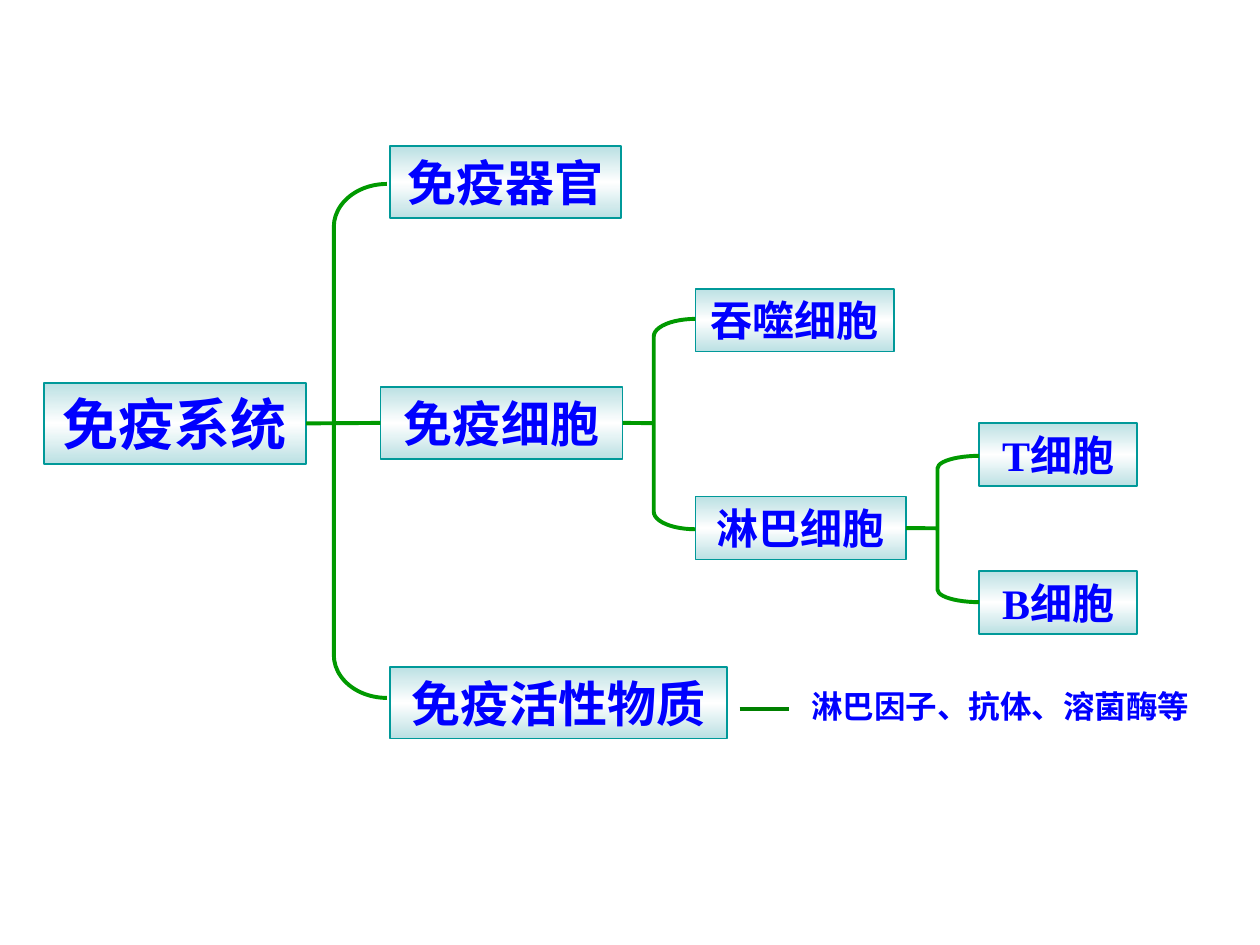
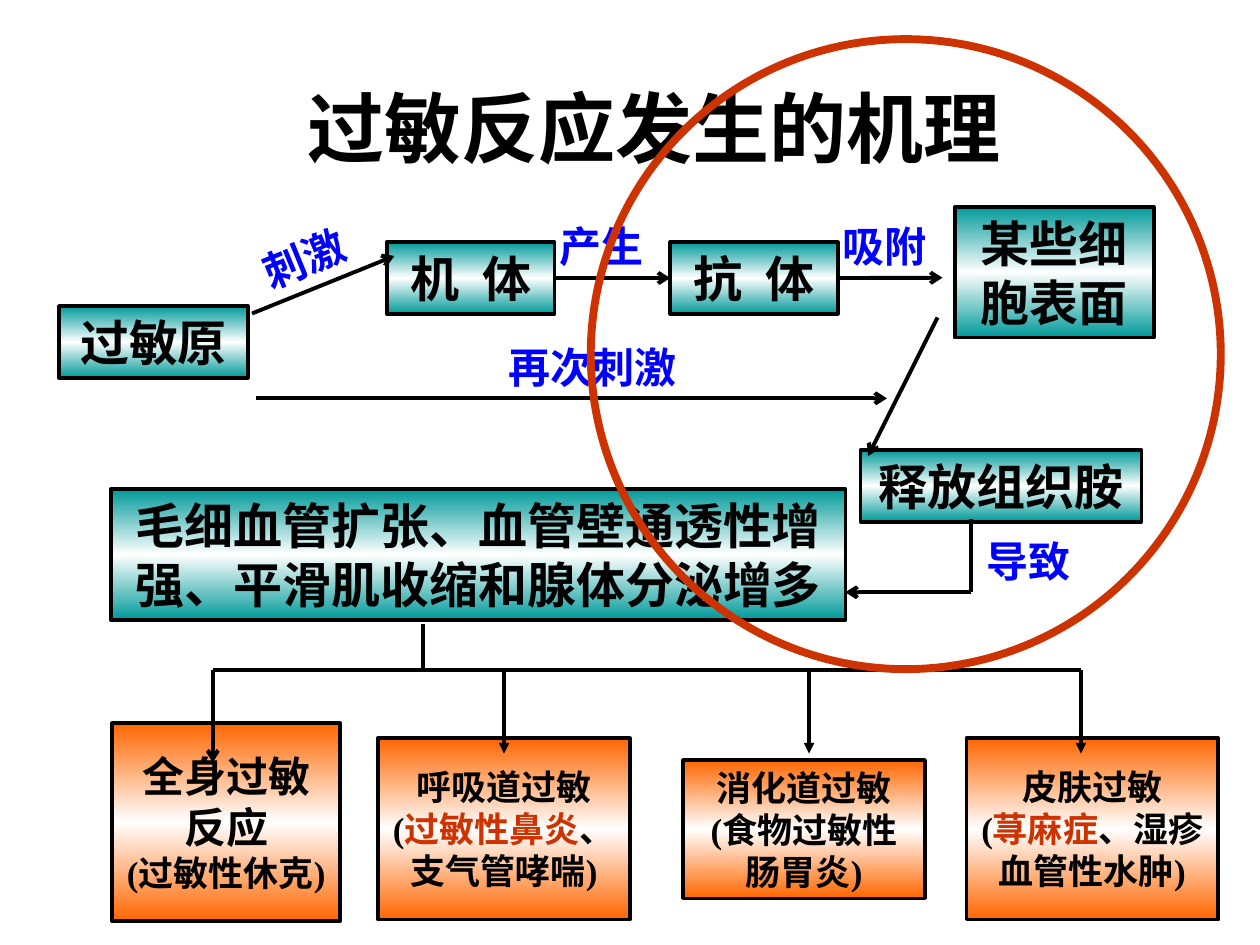
"""Two slides: the immune system tree and the mechanism of allergic reactions."""
from copy import deepcopy
from dataclasses import dataclass

from lxml import etree
from pptx import Presentation
from pptx.dml.color import RGBColor
from pptx.enum.shapes import MSO_CONNECTOR, MSO_SHAPE
from pptx.enum.text import MSO_ANCHOR, PP_ALIGN
from pptx.oxml.ns import qn
from pptx.util import Cm, Pt

STRAIGHT = MSO_CONNECTOR.STRAIGHT
RECTANGLE, OVAL, BRACKET = MSO_SHAPE.RECTANGLE, MSO_SHAPE.OVAL, MSO_SHAPE.LEFT_BRACKET
LEFT, CENTER = PP_ALIGN.LEFT, PP_ALIGN.CENTER
MIDDLE, TOP = MSO_ANCHOR.MIDDLE, MSO_ANCHOR.TOP
LEFT_SIDE, RIGHT_SIDE = 1, 3

SERIF, SANS, CHINESE = "Times New Roman", "Arial", "Noto Sans CJK SC"
BLACK, WHITE, BLUE, RED = "000000", "FFFFFF", "0000FF", "CC3300"
TEAL, PALE_TEAL, ORANGE = "009999", "BBE0E3", "FF6600"
GREEN, DARK_GREEN = "009900", "008000"
HEIGHT_BY_SIZE = {32: 1.63, 28: 1.45, 24: 1.27}
WIDE_SPACE = "700"


@dataclass
class Box:
    """A rectangle in centimetres."""

    left: float
    top: float
    width: float
    height: float

    def inner(self, left, top, width, height):
        """Return a box placed relative to this one."""
        return Box(self.left + left, self.top + top, width, height)

    def point(self, x, y):
        """Return a point placed relative to this box."""
        return self.left + x, self.top + y

    def lengths(self):
        """Return the position and size as lengths."""
        return [Cm(value) for value in (self.left, self.top, self.width, self.height)]


def color(hex_text):
    """Turn a hex string into a colour."""
    return RGBColor.from_string(hex_text)


def format_paragraph(paragraph, size, hex_text, font_name=SERIF, alignment=CENTER):
    """Set the bold font, the alignment and the line breaking of a paragraph."""
    paragraph.alignment = alignment
    font = paragraph.font
    font.name, font.size, font.bold = font_name, Pt(size), True
    font.color.rgb = color(hex_text)
    properties = paragraph._p.pPr
    properties.set("hangingPunct", "0")
    defaults = properties.find(qn("a:defRPr"))
    etree.SubElement(defaults, qn("a:ea")).set("typeface", CHINESE)


def set_line(shape, hex_text, width):
    """Set the outline colour and width."""
    shape.line.color.rgb = color(hex_text)
    shape.line.width = Pt(width)


def add_outline(slide, kind, box, hex_text, width):
    """Add a preset shape that has a line and no fill."""
    shape = slide.shapes.add_shape(kind, *box.lengths())
    shape.shadow.inherit = False
    shape.fill.background()
    set_line(shape, hex_text, width)
    return shape


def add_node(slide, box, paragraphs, edge_color, line_color, line_width, text_color):
    """Add a gradient box; each paragraph is a size and its (text, colour) runs."""
    shape = add_outline(slide, RECTANGLE, box, line_color, line_width)
    shape.fill.gradient()
    shape.fill.gradient_angle = 90
    stop_list = shape._element.spPr.find(".//" + qn("a:gsLst"))
    stop_list.append(deepcopy(stop_list[0]))
    stops = zip(shape.fill.gradient_stops, (0, 0.5, 1), (edge_color, WHITE, edge_color))
    for stop, position, hex_text in stops:
        stop.position = position
        stop.color.rgb = color(hex_text)
    frame = shape.text_frame
    frame.word_wrap = True
    frame.vertical_anchor = MIDDLE
    for index, (size, runs) in enumerate(paragraphs):
        paragraph = frame.add_paragraph() if index else frame.paragraphs[0]
        format_paragraph(paragraph, size, text_color)
        for text, hex_text in runs:
            run = paragraph.add_run()
            run.text = text
            if hex_text != text_color:
                run.font.color.rgb = color(hex_text)
            if text == " ":
                run._r.get_or_add_rPr().set("spc", WIDE_SPACE)
    return shape


def add_text(slide, box, text, size, font_name=SERIF, alignment=CENTER, rotation=0):
    """Add a blue one-line label."""
    shape = slide.shapes.add_textbox(*box.lengths())
    shape.rotation = rotation
    frame = shape.text_frame
    frame.margin_left = frame.margin_right = Cm(0)
    frame.word_wrap = False
    frame.vertical_anchor = TOP
    frame.text = text
    format_paragraph(frame.paragraphs[0], size, BLUE, font_name, alignment)


def add_line(slide, start, end, hex_text=BLACK, width=2.25, head=None, source=None, target=None):
    """Add a line, with an arrowhead and joined to boxes if asked."""
    ends = [Cm(value) for value in (*start, *end)]
    connector = slide.shapes.add_connector(STRAIGHT, *ends)
    set_line(connector, hex_text, width)
    etree.SubElement(connector._element.spPr, qn("a:effectLst"))
    if head:
        etree.SubElement(connector.line._get_or_add_ln(), qn("a:tailEnd")).set("type", head)
    if source is not None:
        connector.begin_connect(source, RIGHT_SIDE)
    if target is not None:
        connector.end_connect(target, LEFT_SIDE)


def draw_immune_tree(slide, area):
    """Draw the boxes, brackets and stems of the immune system."""
    nodes = {}
    for text, left, top, width, size in (
        ("免疫系统", 0, 4.77, 5.28, 32),
        ("免疫器官", 6.98, 0, 4.65, 28),
        ("免疫细胞", 6.78, 4.85, 4.88, 28),
        ("免疫活性物质", 6.98, 10.49, 6.78, 28),
        ("淋巴细胞", 13.13, 7.06, 4.24, 24),
        ("吞噬细胞", 13.13, 2.87, 4.01, 24),
        ("B细胞", 18.85, 8.56, 3.18, 24),
        ("T细胞", 18.85, 5.58, 3.18, 24),
    ):
        box = area.inner(left, top, width, HEIGHT_BY_SIZE[size])
        nodes[text] = add_node(slide, box, [(size, [(text, BLUE)])], PALE_TEAL, TEAL, 1, BLUE)

    for left, top, width, height, curve in (
        (5.84, 0.76, 1.07, 10.36, 0.81),
        (12.29, 3.48, 0.84, 4.24, 0.42),
        (18.01, 6.24, 0.84, 2.95, 0.3),
    ):
        bracket = add_outline(slide, BRACKET, area.inner(left, top, width, height), GREEN, 2.25)
        bracket.adjustments[0] = curve

    add_line(slide, area.point(5.28, 5.58), area.point(6.78, 5.58), GREEN,
             source=nodes["免疫系统"], target=nodes["免疫细胞"])
    for text, start, end, y in (("免疫细胞", 11.66, 12.29, 5.58), ("淋巴细胞", 17.37, 18.01, 7.7)):
        add_line(slide, area.point(start, y), area.point(end, y), GREEN, source=nodes[text])


def draw_substance_note(slide, area):
    """Draw the examples of active substances with their dash."""
    add_line(slide, area.point(0, 0.58), area.point(0.99, 0.58), DARK_GREEN)
    add_text(slide, area.inner(1.44, 0, 7.88, 1.02), "淋巴因子、抗体、溶菌酶等", 18, SANS, LEFT)


def draw_reaction_chain(slide, area):
    """Draw the steps from allergen to tissue response."""
    nodes = {}
    for text, left, top, width, height in (
        ("过敏原", 0, 2, 3.81, 1.45),
        ("机 体", 6.61, 0.71, 3.38, 1.45),
        ("抗 体", 12.32, 0.71, 3.38, 1.45),
        ("某些细胞表面", 18.06, 0, 4.01, 2.64),
        ("释放组织胺", 16.16, 4.9, 5.66, 1.45),
        ("毛细血管扩张、血管壁通透性增强、平滑肌收缩和腺体分泌增多", 1.05, 5.69, 14.81, 2.64),
    ):
        box = area.inner(left, top, width, height)
        runs = [(part, BLACK) for part in text.partition(" ") if part]
        nodes[text] = add_node(slide, box, [(28, runs)], TEAL, BLACK, 2, BLACK)

    body, antibody = nodes["机 体"], nodes["抗 体"]
    for start, end, head, source, target in (
        ((17.71, 2.23), (16.31, 5.02), "arrow", None, None),
        ((3.89, 2.15), (6.76, 0.99), "arrow", None, None),
        ((9.99, 1.43), (12.32, 1.43), "arrow", body, antibody),
        ((15.7, 1.43), (17.81, 1.43), "arrow", antibody, None),
        ((3.97, 3.86), (16.69, 3.86), "arrow", None, None),
        ((18.39, 6.29), (18.39, 7.77), None, None, None),
        ((18.39, 7.77), (15.85, 7.77), "arrow", None, None),
    ):
        add_line(slide, area.point(*start), area.point(*end), head=head,
                 source=source, target=target)

    for text, left, top, width, rotation in (
        ("刺激", 3.51, 0.4, 2.79, -22.4),
        ("产生", 9.99, 0.15, 1.9, 0),
        ("吸附", 15.7, 0.15, 1.9, 0),
        ("再次刺激", 5.67, 2.59, 10.16, 0),
        ("导致", 18.6, 6.5, 1.9, 0),
    ):
        add_text(slide, area.inner(left, top, width, 1.07), text, 24, rotation=rotation)


def draw_outcomes(slide, area):
    """Draw the four kinds of allergy under their shared rail."""
    rail = 0.94
    add_line(slide, area.point(6.27, 0), area.point(6.27, rail))
    add_line(slide, area.point(2.03, rail), area.point(19.53, rail))
    for place, heading, size, runs, x, tip, head, width in (
        ((0, 2.01, 4.6, 3.99), "全身过敏反应", 24,
         [("(过敏性休克)", BLACK)], 2.03, 2.8, "arrow", 2.25),
        ((5.36, 2.31, 5.08, 3.66), "呼吸道过敏", 20,
         [("(", BLACK), ("过敏性鼻炎", RED), ("、支气管哮喘)", BLACK)], 7.9, 2.62, "triangle", 2),
        ((11.51, 2.75, 4.88, 2.79), "消化道过敏", 20,
         [("(食物过敏性肠胃炎)", BLACK)], 14.05, 2.62, "triangle", 2),
        ((17.22, 2.31, 5.08, 3.66), "皮肤过敏", 20,
         [("(", BLACK), ("荨麻症", RED), ("、湿疹血管性水肿)", BLACK)], 19.53, 2.62, "triangle", 2),
    ):
        paragraphs = [(size, [(heading, BLACK)]), (20, runs)]
        add_node(slide, area.inner(*place), paragraphs, ORANGE, BLACK, 2, BLACK)
        add_line(slide, area.point(x, rail), area.point(x, tip), width=width, head=head)


def set_title(slide, box, text):
    """Place and format the title."""
    title = slide.shapes.title
    title.left, title.top, title.width, title.height = box.lengths()
    title.text_frame.text = text
    title.text_frame.vertical_anchor = MIDDLE
    format_paragraph(title.text_frame.paragraphs[0], 44, BLACK, CHINESE)


def build_system_slide(presentation):
    """Build the slide on the immune system."""
    slide = presentation.slides.add_slide(presentation.slide_layouts[6])
    draw_immune_tree(slide, Box(0.89, 2.95, 22.03, 11.94))
    draw_substance_note(slide, Box(14.91, 13.72, 9.32, 1.02))


def build_mechanism_slide(presentation):
    """Build the slide on the mechanism of allergy."""
    slide = presentation.slides.add_slide(presentation.slide_layouts[5])
    set_title(slide, Box(3.1, 1.17, 20.19, 2.77), "过敏反应发生的机理")
    draw_reaction_chain(slide, Box(1.19, 4.17, 22.07, 8.33))
    draw_outcomes(slide, Box(2.26, 12.57, 22.3, 6))
    add_outline(slide, OVAL, Box(11.91, 0.79, 12.7, 12.7), RED, 4.5)


def main():
    """Build and save the presentation."""
    presentation = Presentation()
    presentation.slide_width, presentation.slide_height = Cm(25.4), Cm(19.05)
    build_system_slide(presentation)
    build_mechanism_slide(presentation)
    presentation.save("out.pptx")


if __name__ == "__main__":
    main()
